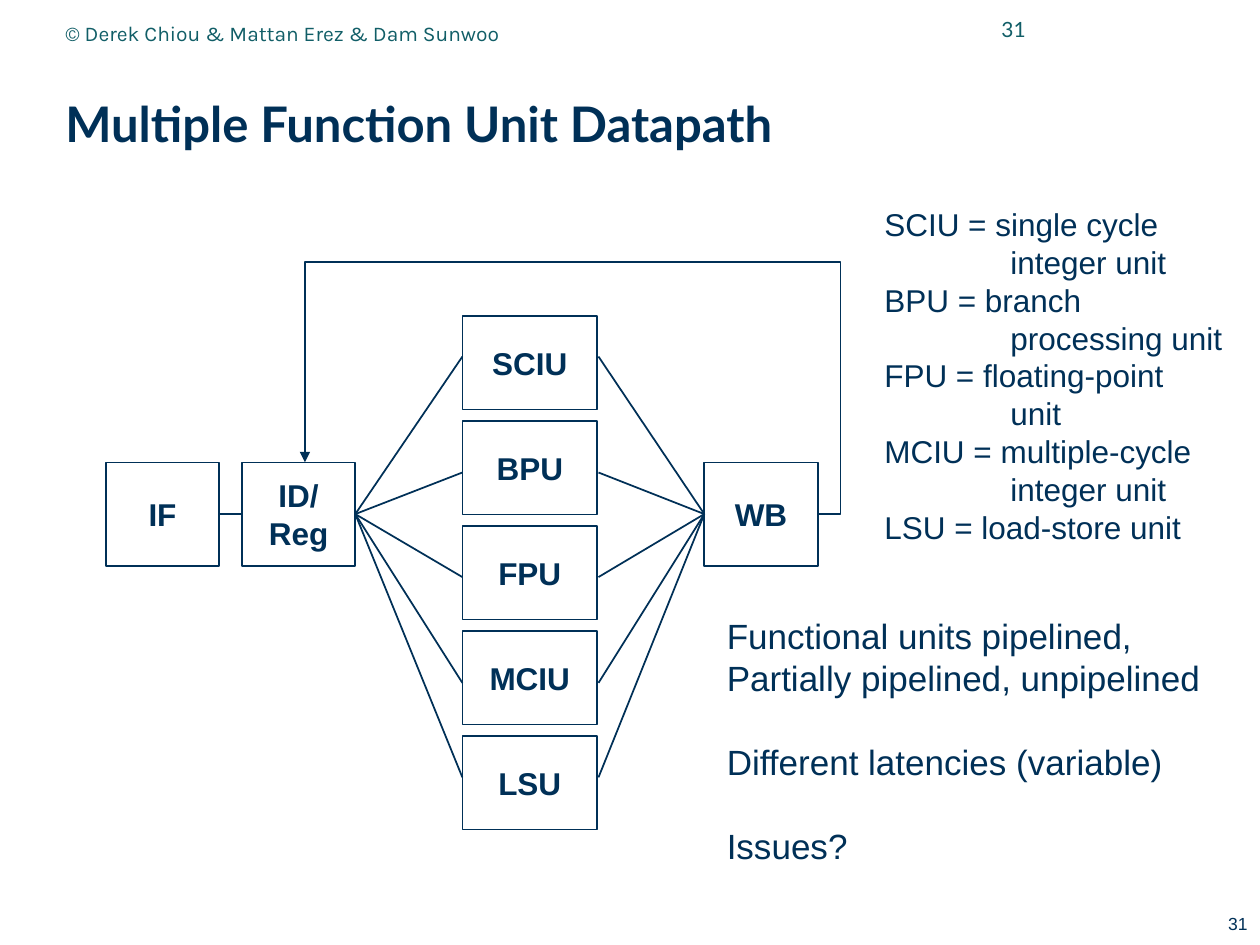
from dataclasses import dataclass

from lxml.etree import SubElement
from pptx import Presentation
from pptx.dml.color import RGBColor
from pptx.enum.shapes import MSO_CONNECTOR, MSO_SHAPE
from pptx.enum.text import MSO_ANCHOR, MSO_AUTO_SIZE, PP_ALIGN
from pptx.oxml.ns import qn
from pptx.util import Inches, Pt

NAVY = "003057"
TEAL = "115E67"
RIGHT = 3
LEFT = 1


@dataclass
class Box:
    x: float
    y: float
    w: float
    h: float


@dataclass
class Line:
    text: str
    indent: float = 0
    before: float = 0


@dataclass
class Stage:
    label: str
    box: Box


STAGES = [
    Stage("IF", Box(0.84, 3.67, 0.9, 0.82)),
    Stage("ID/\nReg", Box(1.92, 3.67, 0.9, 0.82)),
    Stage("WB", Box(5.59, 3.67, 0.9, 0.82)),
]
UNITS = ["SCIU", "BPU", "FPU", "MCIU", "LSU"]
PORT_YS = [2.83, 3.75, 4.58, 5.42, 6.17]
UNIT_TOP, UNIT_PITCH = 2.51, 5 / 6
FEEDBACK = [(6.5, 4.08), (6.67, 4.08), (6.67, 2.08), (2.42, 2.08), (2.42, 3.67)]
LEGEND = [
    Line("SCIU = single cycle"),
    Line("integer unit", indent=1),
    Line("BPU = branch"),
    Line("processing unit", indent=1),
    Line("FPU = floating-point"),
    Line("unit", indent=1),
    Line("MCIU = multiple-cycle"),
    Line("integer unit", indent=1),
    Line("LSU = load-store unit"),
]
REMARKS = [
    Line("Functional units pipelined,"),
    Line("Partially pipelined, unpipelined"),
    Line("Different latencies (variable)", before=24),
    Line("Issues?", before=24),
]


def color(value: str) -> RGBColor:
    return RGBColor.from_string(value)


def place(box: Box) -> tuple:
    return tuple(Inches(v) for v in (box.x, box.y, box.w, box.h))


def write(s, lines: list[Line], *, size=18, font="Arial", fill=NAVY, bold=False,
          align=PP_ALIGN.LEFT, anchor=MSO_ANCHOR.TOP, wrap=True, grow=False,
          spacing=None) -> None:
    tf = s.text_frame
    tf.word_wrap = wrap
    tf.auto_size = MSO_AUTO_SIZE.SHAPE_TO_FIT_TEXT if grow else MSO_AUTO_SIZE.NONE
    tf.vertical_anchor = anchor
    for i, line in enumerate(lines):
        p = tf.add_paragraph() if i else tf.paragraphs[0]
        p.alignment = align
        if line.indent:
            p._p.get_or_add_pPr().set("marL", str(Inches(line.indent)))
        if line.before:
            p.space_before = Pt(line.before)
        if spacing:
            p.line_spacing = spacing
        r = p.add_run()
        r.text = line.text
        r.font.size = Pt(size)
        r.font.name = font
        r.font.bold = bold
        r.font.color.rgb = color(fill)


def add_text(slide, box: Box, lines: list[Line], **style) -> None:
    write(slide.shapes.add_textbox(*place(box)), lines, **style)


def outline(s) -> None:
    s.line.color.rgb = color(NAVY)
    s.line.width = Pt(1)


def add_stage(slide, stage: Stage):
    s = slide.shapes.add_shape(MSO_SHAPE.RECTANGLE, *place(stage.box))
    s.shadow.inherit = False
    s.fill.background()
    outline(s)
    write(s, [Line(t) for t in stage.label.split("\n")], bold=True,
          align=PP_ALIGN.CENTER, anchor=MSO_ANCHOR.MIDDLE, wrap=False)
    return s


def add_wire(slide, x: float, y: float, hub, side: int):
    s = slide.shapes.add_connector(
        MSO_CONNECTOR.STRAIGHT, Inches(x), Inches(y), Inches(x), Inches(y))
    s.end_connect(hub, side)
    outline(s)
    SubElement(s._element.spPr, qn("a:effectLst"))
    return s


def add_feedback(slide, points: list[tuple[float, float]]) -> None:
    start, *rest = [(Inches(x), Inches(y)) for x, y in points]
    builder = slide.shapes.build_freeform(*start)
    builder.add_line_segments(rest, close=False)
    s = builder.convert_to_shape()
    s.shadow.inherit = False
    s.fill.background()
    outline(s)
    SubElement(s.line._get_or_add_ln(), qn("a:tailEnd"), type="triangle")


def main() -> None:
    prs = Presentation()
    prs.slide_width, prs.slide_height = Inches(10), Inches(7.5)
    slide = prs.slides.add_slide(prs.slide_layouts[6])

    add_text(slide, Box(0.42, 0.5, 9.41, 0.98), [Line("Multiple Function Unit Datapath")],
             size=28, font="Lato", bold=True, anchor=MSO_ANCHOR.MIDDLE, spacing=0.99)
    add_text(slide, Box(7.33, -0.02, 0.91, 0.5), [Line("31")], size=12, font="Lato",
             fill=TEAL, align=PP_ALIGN.RIGHT, anchor=MSO_ANCHOR.MIDDLE)
    add_text(slide, Box(0.42, 0.03, 5.67, 0.46),
             [Line("© Derek Chiou & Mattan Erez & Dam Sunwoo")],
             size=12, font="Karla", fill=TEAL, anchor=MSO_ANCHOR.MIDDLE)
    add_text(slide, Box(7.67, 7.2, 2.33, 0.27), [Line("31")], size=10,
             align=PP_ALIGN.RIGHT)

    fetch, decode, write_back = [add_stage(slide, stage) for stage in STAGES]
    for i, (unit, port_y) in enumerate(zip(UNITS, PORT_YS)):
        add_stage(slide, Stage(unit, Box(3.67, UNIT_TOP + i * UNIT_PITCH, 1.07, 0.74)))
        add_wire(slide, 3.67, port_y, decode, RIGHT)
        add_wire(slide, 4.75, port_y, write_back, LEFT)
    add_wire(slide, 1.92, 4.08, fetch, RIGHT).begin_connect(decode, LEFT)
    add_feedback(slide, FEEDBACK)

    add_text(slide, Box(6.92, 1.58, 2.91, 2.82), LEGEND, wrap=False, grow=True)
    add_text(slide, Box(5.67, 4.83, 3.96, 2.1), REMARKS, size=20, wrap=False, grow=True)
    prs.save("out.pptx")


if __name__ == "__main__":
    main()
